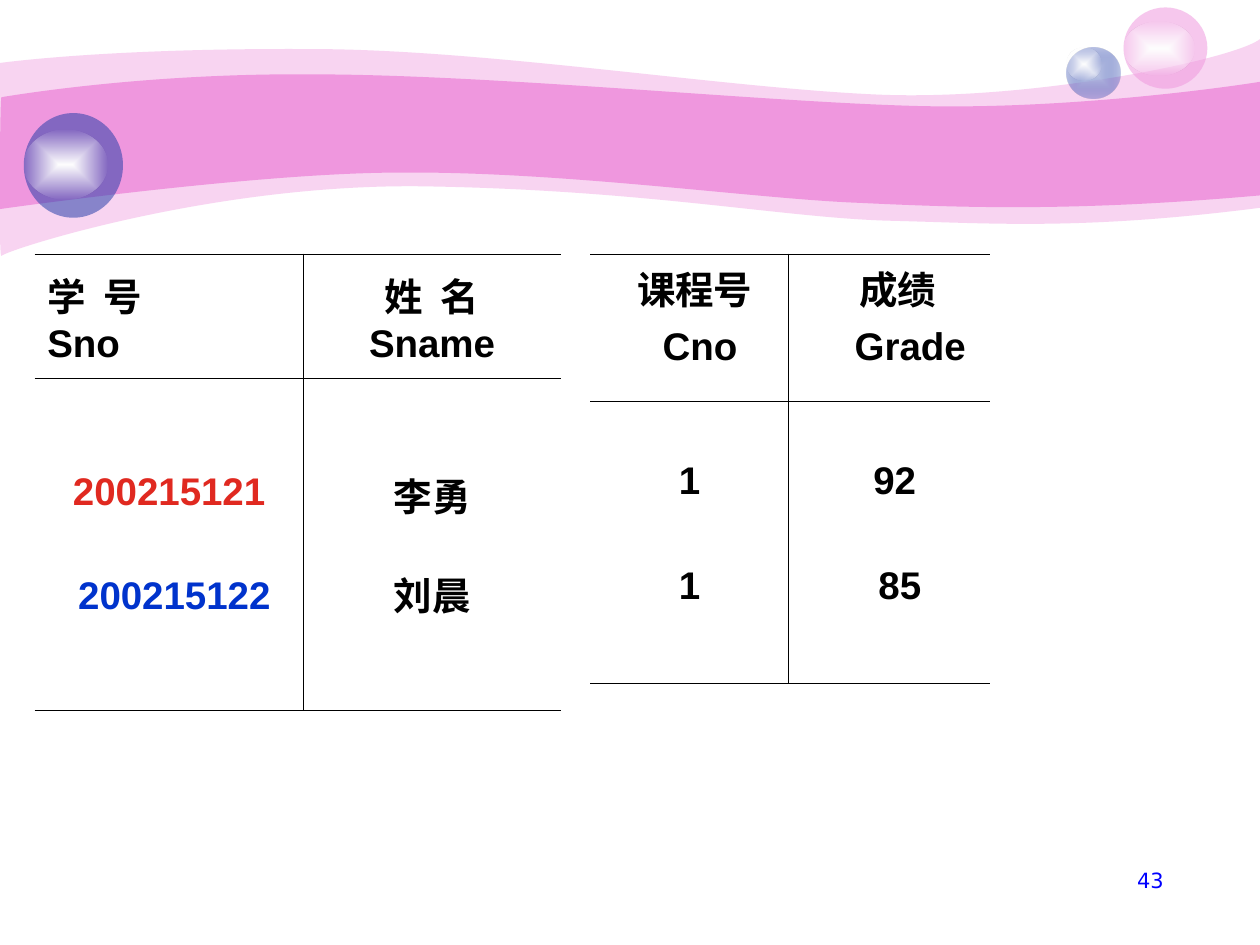
from lxml import etree
from pptx import Presentation
from pptx.dml.color import RGBColor
from pptx.enum.shapes import MSO_SHAPE
from pptx.enum.text import MSO_ANCHOR, PP_ALIGN
from pptx.oxml import parse_xml
from pptx.oxml.ns import nsdecls, qn
from pptx.util import Cm, Pt

OVAL = MSO_SHAPE.OVAL
LEFT, CENTER, RIGHT = PP_ALIGN.LEFT, PP_ALIGN.CENTER, PP_ALIGN.RIGHT
TOP, MIDDLE = MSO_ANCHOR.TOP, MSO_ANCHOR.MIDDLE

COLORS = {
    "pink": "EF97DE", "indigo": "233DA9", "mist": "C7CEE9", "white": "FFFFFF",
    "black": "000000", "red": "E02920", "blue": "0033CC", "number": "0000FF",
}
SPACE_WIDTH = 0.21  # cm, one space of the table font
ROW_GAP = 35        # points between two records

# Each wave: start point, then curves (two controls, end) or straight lines (end), in cm
OUTER_WAVE = ((0, 1.27), [
    [(0.61, 1.19), (2.72, 0.97), (6.27, 0.99)],
    [(9.8, 0.99), (14.61, 1.78), (17.75, 1.91)],
    [(20.88, 2.03), (24.89, 1.19), (25.4, 0.79)],
    [(25.4, 4.19)],
    [(21.79, 4.65), (19.99, 4.5), (17.91, 4.45)],
    [(15.8, 4.39), (13.08, 3.84), (8.71, 3.76)],
    [(4.37, 3.66), (0.1, 5.05), (0.03, 5.16)],
    [(-0.03, 5.28), (0, 1.91), (0, 1.27)],
])
INNER_WAVE = ((0.03, 1.96), [
    [(0.05, 1.96), (2.79, 1.47), (6.3, 1.5)],
    [(9.8, 1.5), (15.11, 2.03), (18.24, 2.13)],
    [(21.36, 2.24), (24.79, 1.75), (25.4, 1.65)],
    [(25.4, 3.94)],
    [(21.67, 4.27), (19.43, 4.19), (17.32, 4.09)],
    [(15.21, 4.01), (11.35, 3.45), (8.05, 3.48)],
    [(5.16, 3.48), (-0.05, 4.22), (-0.03, 4.22)],
    [(0, 4.22), (0, 1.96), (0.03, 1.96)],
])


def color(name):
    return RGBColor.from_string(COLORS[name])


def fill_solid(shape, name, alpha=100):
    shape.shadow.inherit = False
    shape.line.fill.background()
    shape.fill.solid()
    shape.fill.fore_color.rgb = color(name)
    if alpha < 100:
        tone = shape.fill._xPr.find(qn("a:solidFill"))[0]
        etree.SubElement(tone, qn("a:alpha")).set("val", str(alpha * 1000))


def fill_glow(shape, inner, outer, alpha):
    """Fade from the inner colour at the centre to a see-through outer colour."""
    shape.shadow.inherit = False
    shape.line.fill.background()
    gradient = parse_xml(
        f'<a:gradFill {nsdecls("a")} rotWithShape="1"><a:gsLst>'
        f'<a:gs pos="0"><a:srgbClr val="{COLORS[inner]}"/></a:gs>'
        f'<a:gs pos="100000"><a:srgbClr val="{COLORS[outer]}">'
        f'<a:alpha val="{alpha * 1000}"/></a:srgbClr></a:gs></a:gsLst>'
        '<a:path path="rect"><a:fillToRect l="50000" t="50000" r="50000" b="50000"/>'
        '</a:path></a:gradFill>')
    shape._element.spPr.find(qn("a:prstGeom")).addnext(gradient)


def add_wave(page, wave, alpha=100):
    """Build the outline from its corner points, then bend the sides into curves."""
    start, segments = wave
    builder = page.shapes.build_freeform(Cm(start[0]), Cm(start[1]), scale=1.0)
    builder.add_line_segments([(Cm(x), Cm(y)) for x, y in (s[-1] for s in segments)],
                              close=True)
    shape = builder.convert_to_shape()
    sides = list(shape._element.spPr.iter(qn("a:lnTo")))
    for side, segment in zip(sides, segments):
        if len(segment) == 3:
            side.tag = qn("a:cubicBezTo")
            for index, (x, y) in enumerate(segment[:2]):
                point = etree.Element(qn("a:pt"), x=str(Cm(x) - shape.left),
                                      y=str(Cm(y) - shape.top))
                side.insert(index, point)
    fill_solid(shape, "pink", alpha)


def add_orb(page, box, glow):
    """Add a ball and its highlight, given as top, width and height shares of the box."""
    left, top, width, height = box
    glow_top, glow_width, glow_height = glow
    ball = page.shapes.add_shape(OVAL, *map(Cm, box))
    highlight = page.shapes.add_shape(
        OVAL, Cm(left), Cm(top + glow_top * height),
        Cm(glow_width * width), Cm(glow_height * height))
    fill_glow(highlight, "white", "white", 0)
    return ball


def add_banner(page):
    add_wave(page, OUTER_WAVE, 41)
    add_wave(page, INNER_WAVE)
    fill_glow(add_orb(page, (21.5, 0.95, 1.08, 1.03), (0, 0.66, 0.66)), "mist", "indigo", 31)
    fill_solid(add_orb(page, (22.65, 0.15, 1.69, 1.64), (0.17, 0.84, 0.66)), "pink", 53)
    fill_solid(add_orb(page, (0.48, 2.28, 2, 2.11), (0.16, 0.84, 0.67)), "indigo", 53)


def set_borders(cell, inner_side):
    """Rule the top, the bottom and the side that faces the other column."""
    properties = cell._tc.get_or_add_tcPr()
    for side in ("lnL", "lnR", "lnT", "lnB"):
        border = etree.SubElement(properties, qn(f"a:{side}"), w=str(Pt(0.45)))
        if side in (inner_side, "lnT", "lnB"):
            paint = etree.SubElement(border, qn("a:solidFill"))
            etree.SubElement(paint, qn("a:srgbClr"), val=COLORS["black"])
        else:
            etree.SubElement(border, qn("a:noFill"))


def fill_cell(cell, lines, gap=0, align=CENTER, anchor=MIDDLE, top=0.13):
    """Write lines of (text, indent in spaces, colour, tracking in points)."""
    cell.fill.background()
    cell.vertical_anchor = anchor
    cell.margin_top = Cm(top)
    cell.text_frame.text = "\n".join(entry[0] for entry in lines)
    for index, (para, entry) in enumerate(zip(cell.text_frame.paragraphs, lines)):
        _, indent, tone, tracking = entry
        para.alignment = align
        if index:
            para.space_before = Pt(gap)
        if indent:
            para._p.get_or_add_pPr().set("marL", str(Cm(indent * SPACE_WIDTH)))
        span = para.runs[0]
        span.font.name, span.font.size, span.font.bold = "Arial", Pt(22), True
        span.font.color.rgb = color(tone)
        if tracking:
            span._r.get_or_add_rPr().set("spc", str(int(tracking * 100)))


def line(text, indent=0, tone="black", tracking=0):
    return text, indent, tone, tracking


def add_grid(page, left, top, widths, heights, rows):
    """Add a two-column table; each cell is a dict of arguments for fill_cell."""
    frame = page.shapes.add_table(len(heights), len(widths), Cm(left), Cm(top),
                                  Cm(sum(widths)), Cm(sum(heights)))
    table = frame.table
    table.first_row = table.horz_banding = False
    for column, width in zip(table.columns, widths):
        column.width = Cm(width)
    for row, height, contents in zip(table.rows, heights, rows):
        row.height = Cm(height)
        for cell, content, inner_side in zip(row.cells, contents, ("lnR", "lnL")):
            set_borders(cell, inner_side)
            fill_cell(cell, **content)


def add_student_table(page, left, top):
    add_grid(page, left, top, (5.42, 5.18), (2.5, 6.7), [
        [dict(lines=[line("学 号", tracking=2.5), line("Sno")], align=LEFT),
         dict(lines=[line("姓 名", tracking=2.5), line("Sname")])],
        [dict(lines=[line("200215121", tone="red"), line("200215122", 1, "blue")],
              gap=ROW_GAP),
         dict(lines=[line("李勇"), line("刘晨")], gap=25)],
    ])


def add_grade_table(page, left, top):
    header = dict(gap=5.5, anchor=TOP)
    records = dict(gap=ROW_GAP, anchor=TOP, top=1.18)
    add_grid(page, left, top, (4, 4.06), (2.97, 5.69), [
        [dict(header, lines=[line("课程号", 1), line("Cno", 2)]),
         dict(header, lines=[line("成绩", 1.6), line("Grade", 4)])],
        [dict(records, lines=[line("1"), line("1")]),
         dict(records, lines=[line("92", 1), line("85", 2)])],
    ])


def add_page_number(page, left, top, width, height):
    box = page.shapes.add_textbox(Cm(left), Cm(top), Cm(width), Cm(height))
    box.text_frame.word_wrap = True
    box.text_frame.text = "43"
    para = box.text_frame.paragraphs[0]
    para.alignment = RIGHT
    font = para.runs[0].font
    font.name, font.size = "DejaVu Sans", Pt(12)
    font.color.rgb = color("number")


def main():
    deck = Presentation()
    deck.slide_width, deck.slide_height = Cm(25.4), Cm(19.05)
    page = deck.slides.add_slide(deck.slide_layouts[6])
    add_banner(page)
    add_student_table(page, 0.7, 5.12)
    add_grade_table(page, 11.9, 5.12)
    add_page_number(page, 18.2, 17.36, 5.51, 1.32)
    deck.save("out.pptx")


if __name__ == "__main__":
    main()
